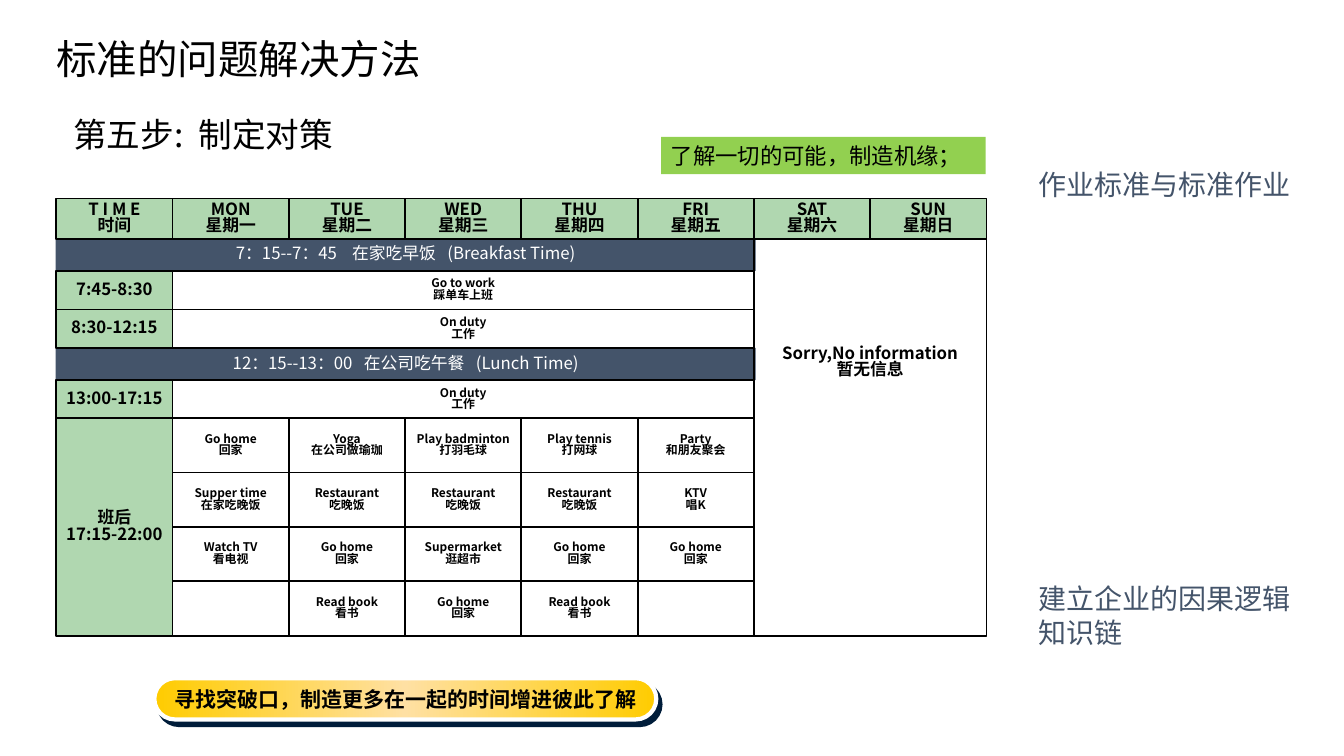
"""Build the weekly timetable slide for step five of the problem-solving method."""
from lxml import etree
from pptx import Presentation
from pptx.dml.color import RGBColor
from pptx.enum.shapes import MSO_SHAPE
from pptx.enum.text import MSO_ANCHOR, PP_ALIGN
from pptx.oxml.ns import qn
from pptx.util import Cm, Pt

RECT, PILL = MSO_SHAPE.RECTANGLE, MSO_SHAPE.ROUNDED_RECTANGLE
TOP, MIDDLE = MSO_ANCHOR.TOP, MSO_ANCHOR.MIDDLE
LEFT, CENTER = PP_ALIGN.LEFT, PP_ALIGN.CENTER
BLACK = RGBColor(0x00, 0x00, 0x00)
WHITE = RGBColor(0xFF, 0xFF, 0xFF)
GREEN = RGBColor(0x00, 0x80, 0x00)
LIME = RGBColor(0x92, 0xD0, 0x50)
SLATE = RGBColor(0x44, 0x54, 0x6A)
GOLD = RGBColor(0xFF, 0xCC, 0x00)
PALE_GOLD = RGBColor(0xFF, 0xE0, 0xA3)
NAVY = RGBColor(0x00, 0x1D, 0x3A)
NOTO = "Noto Sans CJK SC"

prs = Presentation()
prs.slide_width, prs.slide_height = Cm(33.87), Cm(19.05)
slide = prs.slides.add_slide(prs.slide_layouts[6])


def write(s, text, size, color=BLACK, bold=False, align=LEFT, anchor=TOP,
          wrap=True, font=NOTO, spacing=None):
    """Fill a shape with evenly formatted paragraphs, one per line of text."""
    tf = s.text_frame
    tf.word_wrap, tf.vertical_anchor = wrap, anchor
    tf.text = text
    for p in tf.paragraphs:
        p.alignment, p.line_spacing = align, spacing
        p.font.size, p.font.bold, p.font.name = Pt(size), bold, font
        p.font.color.rgb = color
        if font == NOTO:
            ea = etree.SubElement(p.font._element, qn("a:ea"))
            ea.set("typeface", font)


def cell(x, y, w, h, text, size, fill=WHITE, solid=False):
    """Add a timetable cell: an outlined tint, or a solid bar."""
    s = slide.shapes.add_shape(RECT, Cm(x), Cm(y), Cm(w), Cm(h))
    s.shadow.inherit = False
    s.fill.solid()
    s.fill.fore_color.rgb = fill
    if solid:
        s.line.fill.background()
    else:
        tint = s._element.spPr.find(qn("a:solidFill"))[0]
        etree.SubElement(tint, qn("a:alpha")).set("val", "31000")
        s.line.color.rgb, s.line.width = BLACK, Pt(1.25)
    if text:
        write(s, text, size, WHITE if solid else BLACK, not solid, CENTER,
              MIDDLE, False, spacing=0.82)
    return s


X0, COL = 1.42, 2.93
X1 = X0 + COL
HEAD_Y, HEAD_H = 5.0, 1.02
BAR_H, ROW_H = 0.81, 0.97
EVENING_Y, EVENING_H = 10.54, 1.37

bars = [(6.02, "7：15--7：45    在家吃早饭   (Breakfast Time)"),
        (8.77, "12：15--13：00   在公司吃午餐   (Lunch Time)")]
for y, text in bars:
    cell(1.4, y, 17.65, BAR_H, text, 12, SLATE, solid=True)

headings = ["T I M E\n时间", "MON\n星期一", "TUE\n星期二", "WED\n星期三",
            "THU\n星期四", "FRI\n星期五", "SAT\n星期六", "SUN\n星期日"]
for i, text in enumerate(headings):
    cell(X0 + i * COL, HEAD_Y, COL, HEAD_H, text, 12, GREEN)

day_rows = [(6.83, "7:45-8:30", "Go to work\n踩单车上班"),
            (7.8, "8:30-12:15", "On duty\n工作"),
            (9.58, "13:00-17:15", "On duty\n工作")]
for y, time, activity in day_rows:
    cell(X0, y, COL, ROW_H, time, 12, GREEN)
    cell(X1, y, 5 * COL, ROW_H, activity, 8.5)

evenings = [
    ["Go home\n回家", "Yoga\n在公司做瑜珈", "Play badminton\n打羽毛球",
     "Play tennis\n打网球", "Party\n和朋友聚会"],
    ["Supper time\n在家吃晚饭", "Restaurant\n吃晚饭", "Restaurant\n吃晚饭",
     "Restaurant\n吃晚饭", "KTV\n唱K"],
    ["Watch TV\n看电视", "Go home\n回家", "Supermarket\n逛超市",
     "Go home\n回家", "Go home\n回家"],
    ["", "Read book\n看书", "Go home\n回家", "Read book\n看书", ""],
]
cell(X0, EVENING_Y, COL, 4 * EVENING_H, "班后\n17:15-22:00", 12, GREEN)
for r, row in enumerate(evenings):
    for c, text in enumerate(row):
        cell(X1 + c * COL, EVENING_Y + r * EVENING_H, COL, EVENING_H, text, 8.5)

weekend = cell(X1 + 5 * COL, 6.02, 2 * COL, 10, "Sorry,No information\n暂无信息", 12)
weekend.text_frame.vertical_anchor = TOP
weekend.text_frame.margin_top = Cm(2.7)

s = slide.shapes.add_shape(RECT, Cm(16.66), Cm(3.45), Cm(8.18), Cm(0.94))
s.shadow.inherit = False
s.fill.solid()
s.fill.fore_color.rgb = LIME
s.line.fill.background()
write(s, "了解一切的可能，制造机缘；", 16, anchor=MIDDLE)

s = slide.shapes.add_shape(PILL, Cm(3.89), Cm(17.09), Cm(12.65), Cm(1.04))
s.adjustments[0] = 0.5
s.fill.gradient()
s.fill.gradient_angle = 0
stops = s.fill.gradient_stops
stops[0].color.rgb, stops[1].color.rgb = GOLD, GOLD
stops[0].position, stops[1].position = 0, 1
gs_list = s._element.spPr.find(qn("a:gradFill")).find(qn("a:gsLst"))
middle = etree.Element(qn("a:gs"), pos="50000")
etree.SubElement(middle, qn("a:srgbClr")).set("val", str(PALE_GOLD))
gs_list.insert(1, middle)
s.line.color.rgb, s.line.width = WHITE, Pt(3)
s.shadow.inherit = False
effects = s._element.spPr.find(qn("a:effectLst"))
shadow = etree.SubElement(effects, qn("a:outerShdw"), blurRad="0",
                          dist=str(Pt(5)), dir=str(53 * 60000), rotWithShape="0")
etree.SubElement(shadow, qn("a:srgbClr")).set("val", str(NAVY))
write(s, "寻找突破口，制造更多在一起的时间增进彼此了解", 15, bold=True,
      align=CENTER, anchor=MIDDLE, font="Times New Roman")

labels = [
    (1.17, 0.86, 20.96, 1.37, "标准的问题解决方法", 28.9, BLACK, NOTO, 0.9),
    (1.6, 2.74, 8.4, 1.02, "第五步:  制定对策", 24, BLACK, NOTO, None),
    (25.91, 4.09, 6.88, 1.12, "作业标准与标准作业", 20, SLATE, "Calibri", None),
    (25.91, 14.53, 6.88, 1.96, "建立企业的因果逻辑知识链", 20, SLATE, "Calibri", None),
]
for x, y, w, h, text, size, color, font, spacing in labels:
    s = slide.shapes.add_textbox(Cm(x), Cm(y), Cm(w), Cm(h))
    write(s, text, size, color, font=font, spacing=spacing)

prs.save("out.pptx")
